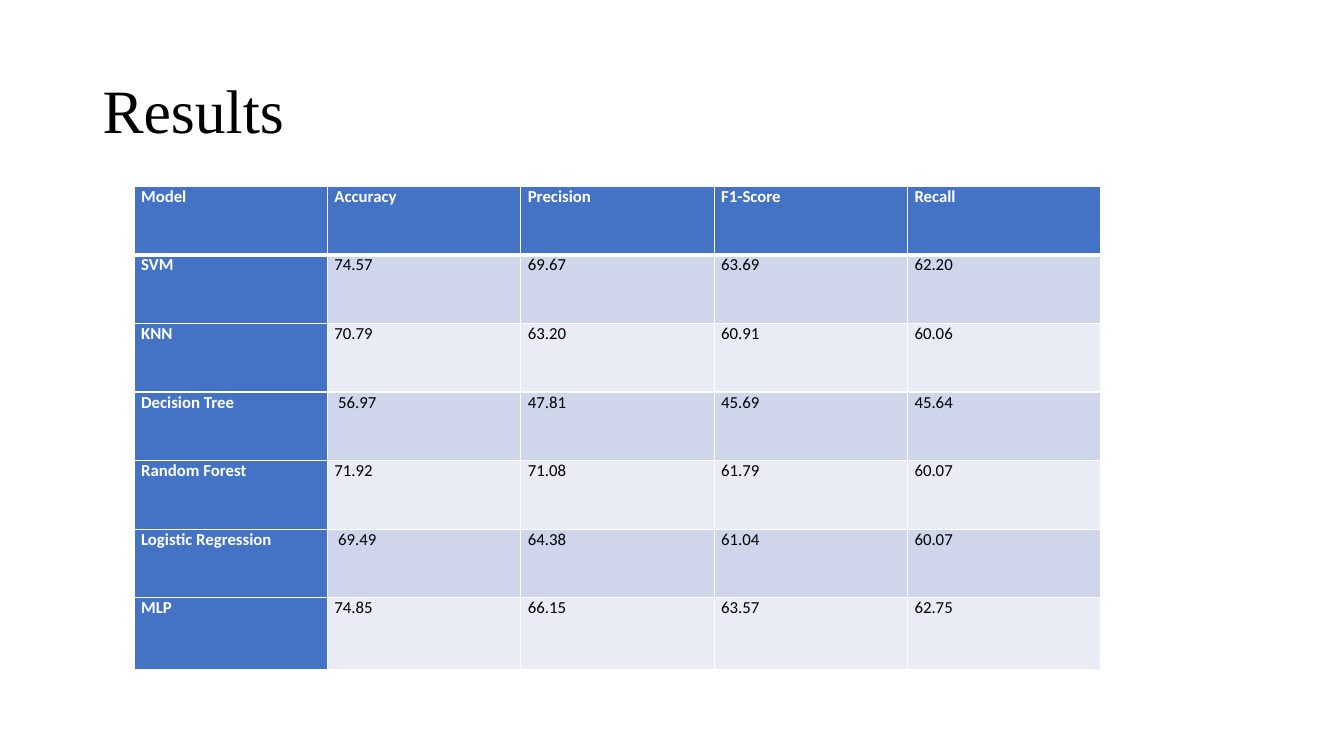
from lxml.etree import SubElement
from pptx import Presentation
from pptx.dml.color import RGBColor
from pptx.enum.text import MSO_ANCHOR as ANCHOR, PP_ALIGN as ALIGN
from pptx.oxml.ns import qn
from pptx.util import Inches, Pt

WHITE = RGBColor(0xFF, 0xFF, 0xFF)
BLACK = RGBColor(0x00, 0x00, 0x00)
BLUE = RGBColor(0x44, 0x72, 0xC4)
BAND_DARK = RGBColor(0xCF, 0xD5, 0xEA)
BAND_LIGHT = RGBColor(0xE9, 0xEB, 0xF5)

RESULTS = [
    ["Model", "Accuracy", "Precision", "F1-Score", "Recall"],
    ["SVM", "74.57", "69.67", "63.69", "62.20"],
    ["KNN", "70.79", "63.20", "60.91", "60.06"],
    ["Decision Tree", " 56.97", "47.81", "45.69", "45.64"],
    ["Random Forest", "71.92", "71.08", "61.79", "60.07"],
    ["Logistic Regression", " 69.49", "64.38", "61.04", "60.07"],
    ["MLP", "74.85", "66.15", "63.57", "62.75"],
]


def write(tf, text, *, font, size, color, bold=False, align=ALIGN.LEFT, spacing=1.0):
    p = tf.paragraphs[0]
    p.alignment = align
    p.line_spacing = spacing
    r = p.add_run()
    r.text = text
    r.font.name = font
    r.font.size = Pt(size)
    r.font.bold = bold
    r.font.color.rgb = color


def add_border(cell, side, width):
    ln = SubElement(cell._tc.get_or_add_tcPr(), qn(f"a:ln{side}"), w=str(Pt(width)))
    fill = SubElement(ln, qn("a:solidFill"))
    SubElement(fill, qn("a:srgbClr"), val=str(WHITE))


prs = Presentation()
prs.slide_width, prs.slide_height = Inches(13.33), Inches(7.5)
s = prs.slides.add_slide(prs.slide_layouts[6])

# Title
sp = s.shapes.add_textbox(Inches(0.92), Inches(0.4), Inches(11.5), Inches(1.45))
tf = sp.text_frame
tf.word_wrap = True
tf.vertical_anchor = ANCHOR.MIDDLE
write(tf, "Results", font="Times New Roman", size=44, color=BLACK, spacing=0.9)

# Results table
n_rows, n_cols = len(RESULTS), len(RESULTS[0])
table = s.shapes.add_table(n_rows, n_cols, Inches(1.33), Inches(1.85),
                           Inches(9.59), Inches(4.81)).table
for row in table.rows:
    row.height = Inches(0.68)
table.rows[n_rows - 1].height = Inches(0.71)

for i, values in enumerate(RESULTS):
    for j, text in enumerate(values):
        cell = table.cell(i, j)
        cell.margin_left = cell.margin_right = Inches(0.07)
        cell.margin_top = cell.margin_bottom = 0

        # White grid, with a thick rule under the header
        for side in "LRTB":
            under_header = (i, side) in [(0, "B"), (1, "T")]
            add_border(cell, side, 3 if under_header else 1)

        # Blue headings, banded values
        heading = i == 0 or j == 0
        cell.fill.solid()
        band = BAND_DARK if i % 2 else BAND_LIGHT
        cell.fill.fore_color.rgb = BLUE if heading else band
        write(cell.text_frame, text, font="Calibri", size=12, bold=heading,
              color=WHITE if heading else BLACK, align=ALIGN.JUSTIFY)

prs.save("out.pptx")
